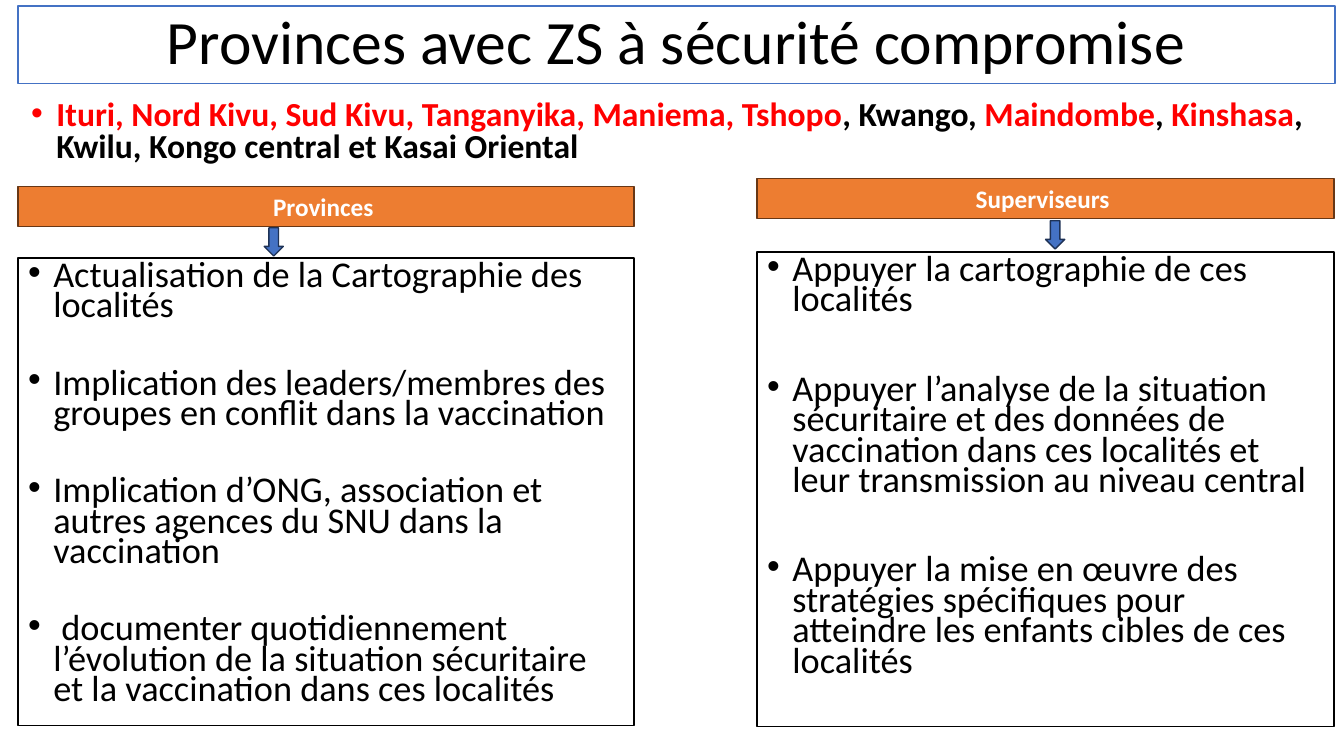
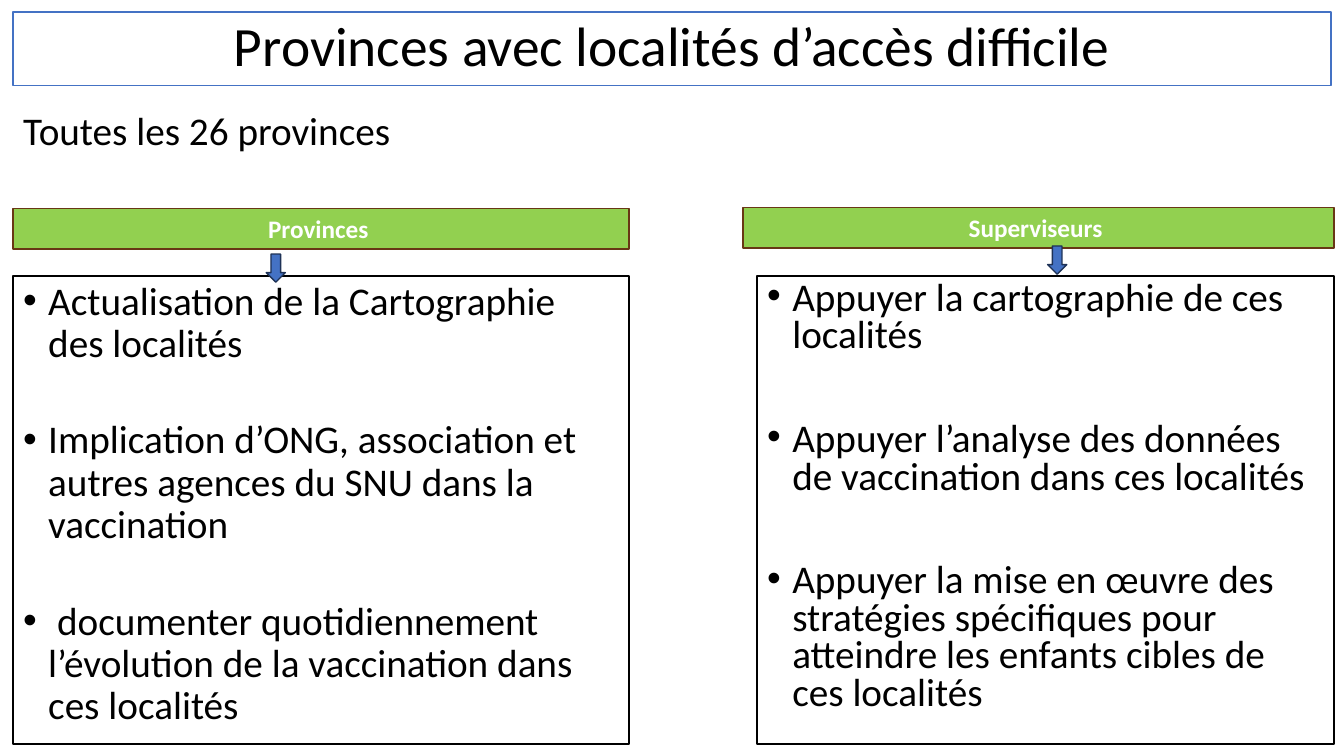
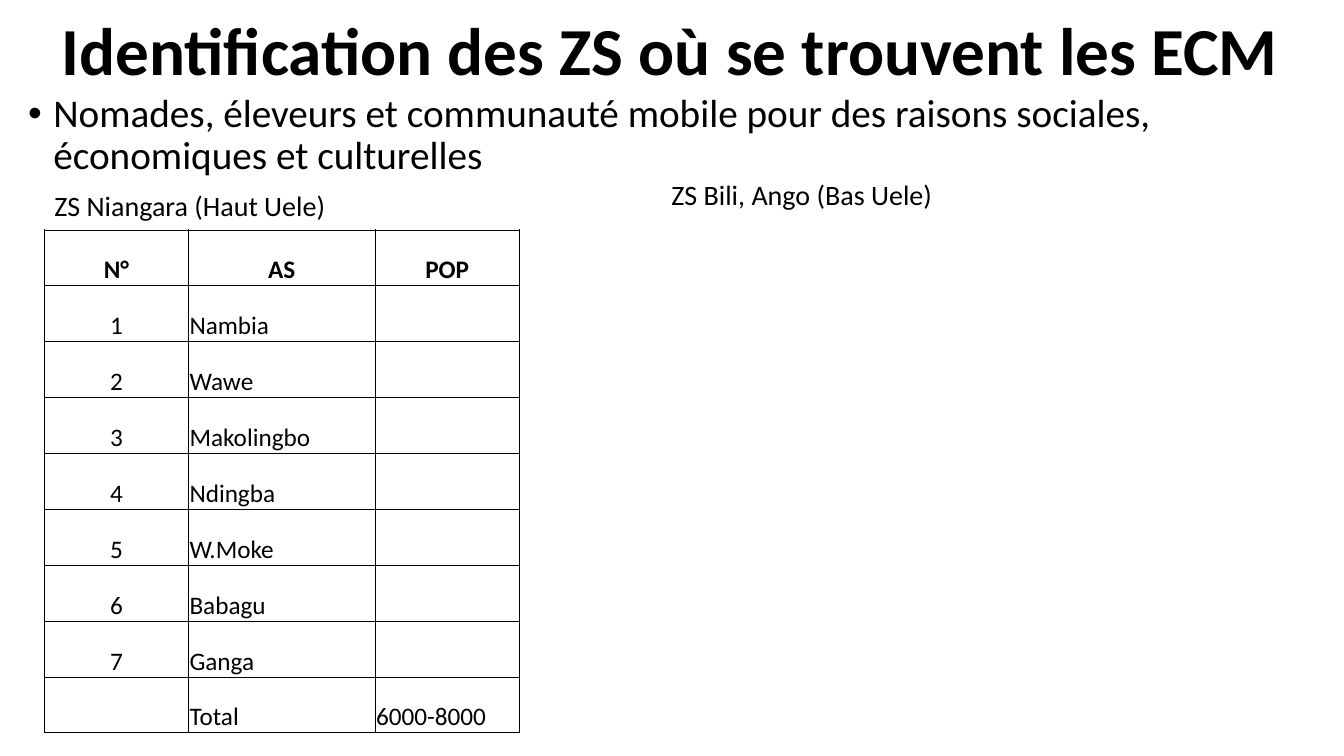
"""Build three slides on insecure, hard-to-reach and mobile communities."""
from lxml import etree
from pptx import Presentation
from pptx.dml.color import RGBColor
from pptx.enum import shapes, text
from pptx.oxml import ns
from pptx.util import Inches, Pt

BLACK = RGBColor(0x00, 0x00, 0x00)
WHITE = RGBColor(0xFF, 0xFF, 0xFF)
RED = RGBColor(0xFF, 0x00, 0x00)
BLUE = RGBColor(0x44, 0x72, 0xC4)
NAVY = RGBColor(0x1E, 0x32, 0x56)
ORANGE = RGBColor(0xED, 0x7D, 0x31)
GREEN = RGBColor(0x92, 0xD0, 0x50)
BROWN = RGBColor(0x68, 0x37, 0x15)

LEFT, CENTER = text.PP_ALIGN.LEFT, text.PP_ALIGN.CENTER
TOP, MIDDLE, BOTTOM = text.MSO_ANCHOR.TOP, text.MSO_ANCHOR.MIDDLE, text.MSO_ANCHOR.BOTTOM


def place(part, at, fill=None, outline=None):
    """Set the position, fill and outline of a part."""
    for side, length in zip(("left", "top", "width", "height"), at):
        setattr(part, side, Inches(length))
    if fill is not None:
        part.fill.solid()
        part.fill.fore_color.rgb = fill
        part.line.color.rgb = outline
        part.line.width = Pt(1)
        part.shadow.inherit = False
    return part


def write(frame, paragraphs, size, color=BLACK, bold=False, align=LEFT,
          leading=1.0, gap=0, bullets=False, anchor=TOP):
    """Fill a text frame with paragraphs of text or of coloured runs."""
    frame.word_wrap = True
    frame.auto_size = text.MSO_AUTO_SIZE.NONE
    frame.vertical_anchor = anchor
    for number, content in enumerate(paragraphs):
        paragraph = frame.add_paragraph() if number else frame.paragraphs[0]
        layout = {"alignment": align, "line_spacing": leading,
                  "space_before": Pt(gap if number else 0)}
        for name, value in layout.items():
            setattr(paragraph, name, value)
        properties = paragraph._p.get_or_add_pPr()
        indent = Inches(0.25) if bullets else 0
        properties.set("marL", str(indent))
        properties.set("indent", str(-indent))
        if bullets:
            etree.SubElement(properties, ns.qn("a:buFont")).set("typeface", "Arial")
            etree.SubElement(properties, ns.qn("a:buChar")).set("char", "•")
        else:
            etree.SubElement(properties, ns.qn("a:buNone"))
        runs = [(content, color)] if isinstance(content, str) else content
        for words, ink in runs:
            run = paragraph.add_run()
            run.text = words
            for name, value in {"name": "Calibri", "size": Pt(size), "bold": bold}.items():
                setattr(run.font, name, value)
            run.font.color.rgb = ink


MAPPING = "Appuyer la cartographie de ces localités"
UPDATE = "Actualisation de la Cartographie des localités"
PARTNERS = "Implication d’ONG, association et autres agences du SNU dans la vaccination"
STRATEGIES = ("Appuyer la mise en œuvre des stratégies spécifiques pour atteindre "
              "les enfants cibles de ces localités")

insecure = {
    "title": ("Provinces avec ZS à sécurité compromise", 44, (0.18, 0.06, 13.06, 0.77)),
    "intro": {
        "at": (0.21, 0.95, 13.06, 0.77),
        "paragraphs": [[("Ituri, Nord Kivu, Sud Kivu, Tanganyika, Maniema, Tshopo", RED),
                        (", Kwango, ", BLACK), ("Maindombe", RED), (", ", BLACK),
                        ("Kinshasa", RED),
                        (", Kwilu, Kongo central et Kasai Oriental", BLACK)]],
        "format": {"size": 24, "bold": True, "leading": 0.8, "bullets": True},
    },
    "band": ORANGE,
    "columns": [
        {"heading": "Provinces ", "band_at": (0.18, 1.85, 6.11, 0.4),
         "arrow_at": (2.62, 2.26, 0.19, 0.28), "list_at": (0.18, 2.56, 6.11, 4.64),
         "tasks": [UPDATE,
                   "Implication des leaders/membres des groupes en conflit dans la vaccination",
                   PARTNERS,
                   " documenter quotidiennement l’évolution de la situation sécuritaire "
                   "et la vaccination dans ces localités"],
         "format": {"size": 25.9, "leading": 0.7, "gap": 33.4}},
        {"heading": "Superviseurs ", "band_at": (7.51, 1.77, 5.72, 0.4),
         "arrow_at": (10.37, 2.19, 0.19, 0.28), "list_at": (7.51, 2.5, 5.72, 4.71),
         "tasks": [MAPPING,
                   "Appuyer l’analyse de la situation sécuritaire et des données de "
                   "vaccination dans ces localités et leur transmission au niveau central",
                   STRATEGIES],
         "format": {"size": 25.9, "leading": 0.7, "gap": 42}},
    ],
}
remote = {
    "title": ("Provinces avec localités d’accès difficile", 39.6, (0.13, 0.12, 13.07, 0.73)),
    "intro": {
        "at": (0.13, 1.06, 13.07, 0.52),
        "paragraphs": ["Toutes les 26 provinces"],
        "format": {"size": 28, "leading": 0.9},
    },
    "band": GREEN,
    "columns": [
        {"heading": "Provinces ", "band_at": (0.13, 2.07, 6.11, 0.4),
         "arrow_at": (2.64, 2.52, 0.19, 0.28), "list_at": (0.13, 2.74, 6.11, 4.64),
         "tasks": [UPDATE, PARTNERS,
                   " documenter quotidiennement l’évolution de la vaccination dans ces localités"],
         "format": {"size": 28, "leading": 0.9, "gap": 38.7}},
        {"heading": "Superviseurs ", "band_at": (7.37, 2.06, 5.86, 0.4),
         "arrow_at": (10.39, 2.44, 0.19, 0.28), "list_at": (7.51, 2.74, 5.72, 4.64),
         "tasks": [MAPPING,
                   "Appuyer l’analyse des données de vaccination dans ces localités",
                   STRATEGIES],
         "format": {"size": 28, "leading": 0.8, "gap": 47}},
    ],
}
title_format = {"align": CENTER, "leading": 0.9, "anchor": MIDDLE}

deck = Presentation()
deck.slide_width, deck.slide_height = Inches(13.33), Inches(7.5)
content_layout = deck.slide_layouts[1]

for topic in (insecure, remote):
    slide = deck.slides.add_slide(content_layout)
    heading, size, at = topic["title"]
    title = place(slide.shapes.title, at, WHITE, BLUE)
    write(title.text_frame, [heading], size, **title_format)

    intro = place(slide.placeholders[1], topic["intro"]["at"])
    write(intro.text_frame, topic["intro"]["paragraphs"], **topic["intro"]["format"])

    for column in topic["columns"]:
        tasks = place(slide.shapes.add_textbox(0, 0, 0, 0), column["list_at"], WHITE, BLACK)
        write(tasks.text_frame, column["tasks"], bullets=True, **column["format"])
    for column in topic["columns"]:
        band = slide.shapes.add_shape(shapes.MSO_SHAPE.RECTANGLE, 0, 0, 0, 0)
        place(band, column["band_at"], topic["band"], BROWN)
        write(band.text_frame, [column["heading"]], 18, WHITE, True, CENTER, anchor=MIDDLE)
        arrow = slide.shapes.add_shape(shapes.MSO_SHAPE.DOWN_ARROW, 0, 0, 0, 0)
        place(arrow, column["arrow_at"], BLUE, NAVY)

slide = deck.slides.add_slide(content_layout)
title = place(slide.shapes.title, (0.14, 0.1, 13.01, 0.87))
write(title.text_frame, ["Identification des ZS où se trouvent les ECM"], 48,
      bold=True, **title_format)
communities = place(slide.placeholders[1], (0.18, 0.88, 13.01, 1.07))
write(communities.text_frame,
      ["Nomades, éleveurs et communauté mobile pour des raisons sociales, "
       "économiques et culturelles"], 28, leading=0.9, bullets=True)

areas = ["Nambia", "Wawe", "Makolingbo", "Ndingba", "W.Moke", "Babagu", "Ganga"]
rows = [("N°", "AS", "POP")]
rows += [(str(number), area, "") for number, area in enumerate(areas, 1)]
rows.append(("", "Total", "6000-8000"))
population = slide.shapes.add_table(len(rows), 3, Inches(0.44), Inches(2.28),
                                    Inches(4.71), Inches(4.99)).table
for column, width in zip(population.columns, (1.43, 1.85, 1.43)):
    column.width = Inches(width)
cell_format = {"margin_left": Inches(0.01), "margin_right": Inches(0.01),
               "margin_top": Inches(0.01), "margin_bottom": 0, "vertical_anchor": BOTTOM}
for row_number, row in enumerate(rows):
    for column_number, words in enumerate(row):
        cell = population.cell(row_number, column_number)
        is_header = row_number == 0
        write(cell.text_frame, [words], 18, bold=is_header,
              align=CENTER if is_header or column_number == 0 else LEFT)
        for name, value in cell_format.items():
            setattr(cell, name, value)
        properties = cell._tc.get_or_add_tcPr()
        for edge in ("a:lnL", "a:lnR", "a:lnT", "a:lnB"):
            border = etree.SubElement(properties, ns.qn(edge), w=str(Pt(0.5)))
            ink = etree.SubElement(border, ns.qn("a:solidFill"))
            etree.SubElement(ink, ns.qn("a:srgbClr"), val=str(BLACK))
        cell.fill.background()

for zone, at in (("ZS Niangara (Haut Uele)", (0.44, 1.82, 4.3, 0.44)),
                 ("ZS Bili, Ango (Bas Uele)", (6.56, 1.71, 4.81, 0.44))):
    label = place(slide.shapes.add_textbox(0, 0, 0, 0), at)
    write(label.text_frame, [zone], 20)

deck.save("out.pptx")
